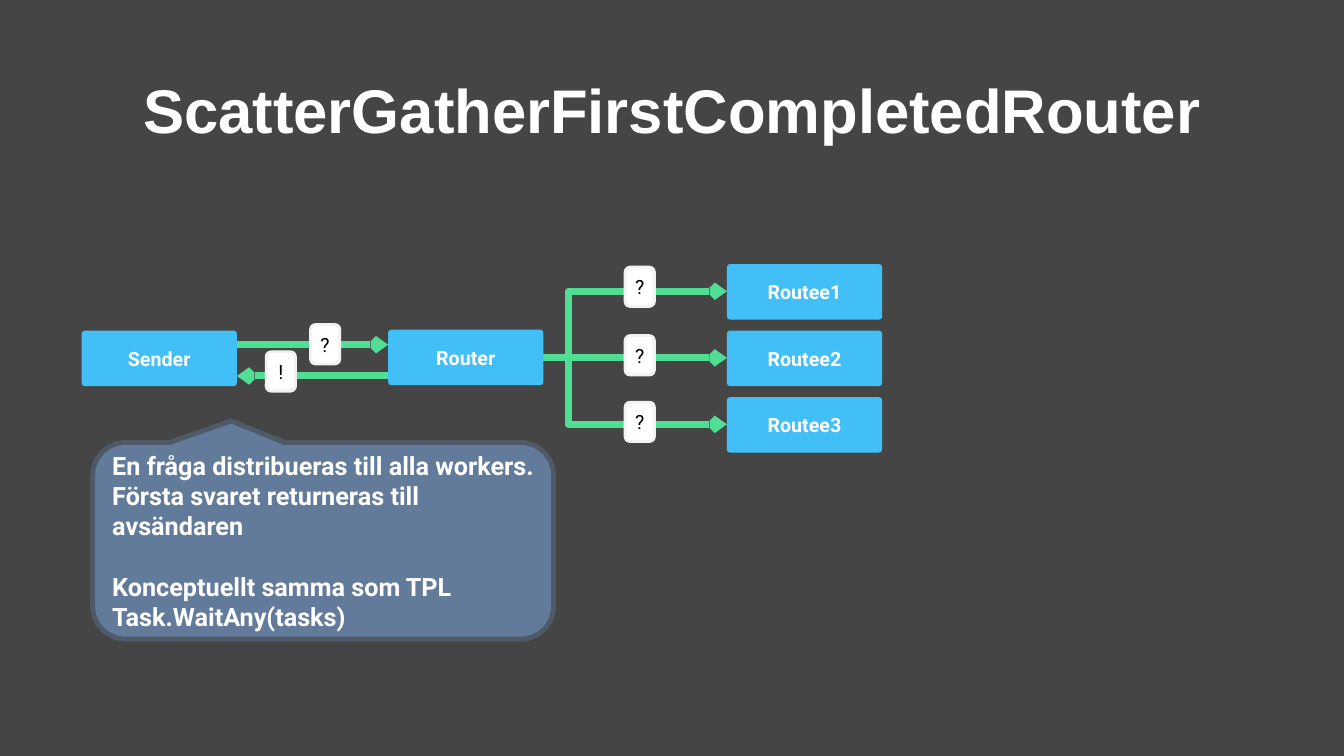
from lxml.etree import SubElement
from pptx import Presentation
from pptx.dml.color import RGBColor
from pptx.enum.shapes import MSO_CONNECTOR as Connector, MSO_SHAPE as Shape
from pptx.enum.text import MSO_ANCHOR as Anchor, MSO_AUTO_SIZE as AutoSize, PP_ALIGN as Align
from pptx.oxml.ns import qn
from pptx.util import Inches, Pt

COLORS = {
    "background": "454545",
    "node": "43BFF7",
    "arrow": "50DE94",
    "badge": "FFFFFF",
    "badge_edge": "F2F2F2",
    "callout": "637B9B",
    "callout_edge": "4F5A69",
    "light": "FFFFFF",
    "dark": "000000",
}


def color(name):
    """Return the named palette colour."""
    return RGBColor.from_string(COLORS[name])


def style_paragraph(para, size, ink, bold=True, align=Align.CENTER, font="Roboto"):
    """Set the alignment and font of a paragraph."""
    para.alignment = align
    para.font.name = font
    para.font.size = Pt(size)
    para.font.bold = bold
    para.font.color.rgb = color(ink)


def add_panel(page, kind, left, top, width, height, fill, edge=None, weight=0):
    """Add a flat filled shape with an optional outline."""
    box = page.shapes.add_shape(
        kind, Inches(left), Inches(top), Inches(width), Inches(height))
    box.shadow.inherit = False
    box.fill.solid()
    box.fill.fore_color.rgb = color(fill)
    if edge:
        box.line.color.rgb = color(edge)
        box.line.width = Pt(weight)
    else:
        box.line.fill.background()
    box.text_frame.word_wrap = True
    box.text_frame.vertical_anchor = Anchor.MIDDLE
    return box


def add_node(page, label, left, top):
    """Add a blue actor box."""
    box = add_panel(page, Shape.ROUNDED_RECTANGLE, left, top, 1.54, 0.55, "node")
    box.adjustments[0] = 0.06
    para = box.text_frame.paragraphs[0]
    para.text = label
    style_paragraph(para, 14, "light")


def add_badge(page, symbol, left, top):
    """Add a small white message badge."""
    box = add_panel(page, Shape.ROUNDED_RECTANGLE, left, top, 0.29, 0.39,
                    "badge", "badge_edge", 2)
    box.text_frame.margin_left = box.text_frame.margin_right = 0
    para = box.text_frame.paragraphs[0]
    para.text = symbol
    style_paragraph(para, 14, "dark", bold=False)


def add_arrow(page, start, end, bend=None):
    """Add a green arrow, with an elbow at the given share of its width."""
    kind = Connector.STRAIGHT if bend is None else Connector.ELBOW
    arrow = page.shapes.add_connector(kind, *map(Inches, start + end))
    arrow.line.color.rgb = color("arrow")
    arrow.line.width = Pt(5)
    SubElement(arrow.line._get_or_add_ln(), qn("a:tailEnd"),
               type="arrow", w="sm", len="sm")
    properties = arrow._element.spPr
    SubElement(properties, qn("a:effectLst"))
    if bend is not None:
        guides = properties.find(qn("a:prstGeom")).get_or_add_avLst()
        SubElement(guides, qn("a:gd"), name="adj1", fmla=f"val {round(bend * 100000)}")


def add_callout(page, lines, last_gap):
    """Add the explanation bubble, with a gap before its last paragraph."""
    box = add_panel(page, Shape.ROUNDED_RECTANGULAR_CALLOUT, 0.92, 4.39, 4.57, 1.95,
                    "callout", "callout_edge", 3.5)
    box.adjustments[0] = -0.2
    box.adjustments[1] = -0.61
    frame = box.text_frame
    frame.margin_right = Inches(0.04)
    for index, line in enumerate(lines):
        para = frame.add_paragraph() if index else frame.paragraphs[0]
        para.text = line
        style_paragraph(para, 18, "light", align=Align.LEFT)
    para.space_before = Pt(last_gap)


def set_title(page, text):
    """Fill, place and format the title placeholder."""
    title = page.shapes.title
    title.left, title.top = Inches(0.92), Inches(0.4)
    title.width, title.height = Inches(11.5), Inches(1.45)
    title.text_frame.auto_size = AutoSize.NONE
    title.text_frame.vertical_anchor = Anchor.MIDDLE
    para = title.text_frame.paragraphs[0]
    para.text = text
    para.line_spacing = 0.9
    style_paragraph(para, 44, "light", font="Arial")


def main():
    """Build the router slide and save it."""
    deck = Presentation()
    deck.slide_width, deck.slide_height = Inches(13.33), Inches(7.5)
    page = deck.slides.add_slide(deck.slide_layouts[5])
    page.background.fill.solid()
    page.background.fill.fore_color.rgb = color("background")
    set_title(page, "ScatterGatherFirstCompletedRouter")

    sender_right, router_left, router_right, routee_left = 2.35, 3.85, 5.39, 7.21
    middle, row_pitch = 3.55, 0.66
    for row, bend in ((1, 0.135), (-1, 0.135), (0, None)):
        add_arrow(page, (router_right, middle),
                  (routee_left, middle + row * row_pitch), bend)
    add_arrow(page, (sender_right, 3.42), (router_left, 3.42))
    add_arrow(page, (router_left, 3.73), (sender_right, 3.73))

    for row in range(3):
        add_node(page, f"Routee{row + 1}", routee_left, 2.62 + row * row_pitch)
    add_node(page, "Sender", 0.81, 3.28)
    add_node(page, "Router", router_left, 3.27)

    for symbol, left, top in (("?", 3.08, 3.22), ("!", 2.64, 3.49), ("?", 6.2, 2.65),
                              ("?", 6.2, 3.33), ("?", 6.2, 3.99)):
        add_badge(page, symbol, left, top)
    add_callout(page, ("En fråga distribueras till alla workers.",
                       "Första svaret returneras till avsändaren",
                       "Konceptuellt samma som TPL Task.WaitAny(tasks)"), 21.5)
    deck.save("out.pptx")


if __name__ == "__main__":
    main()
